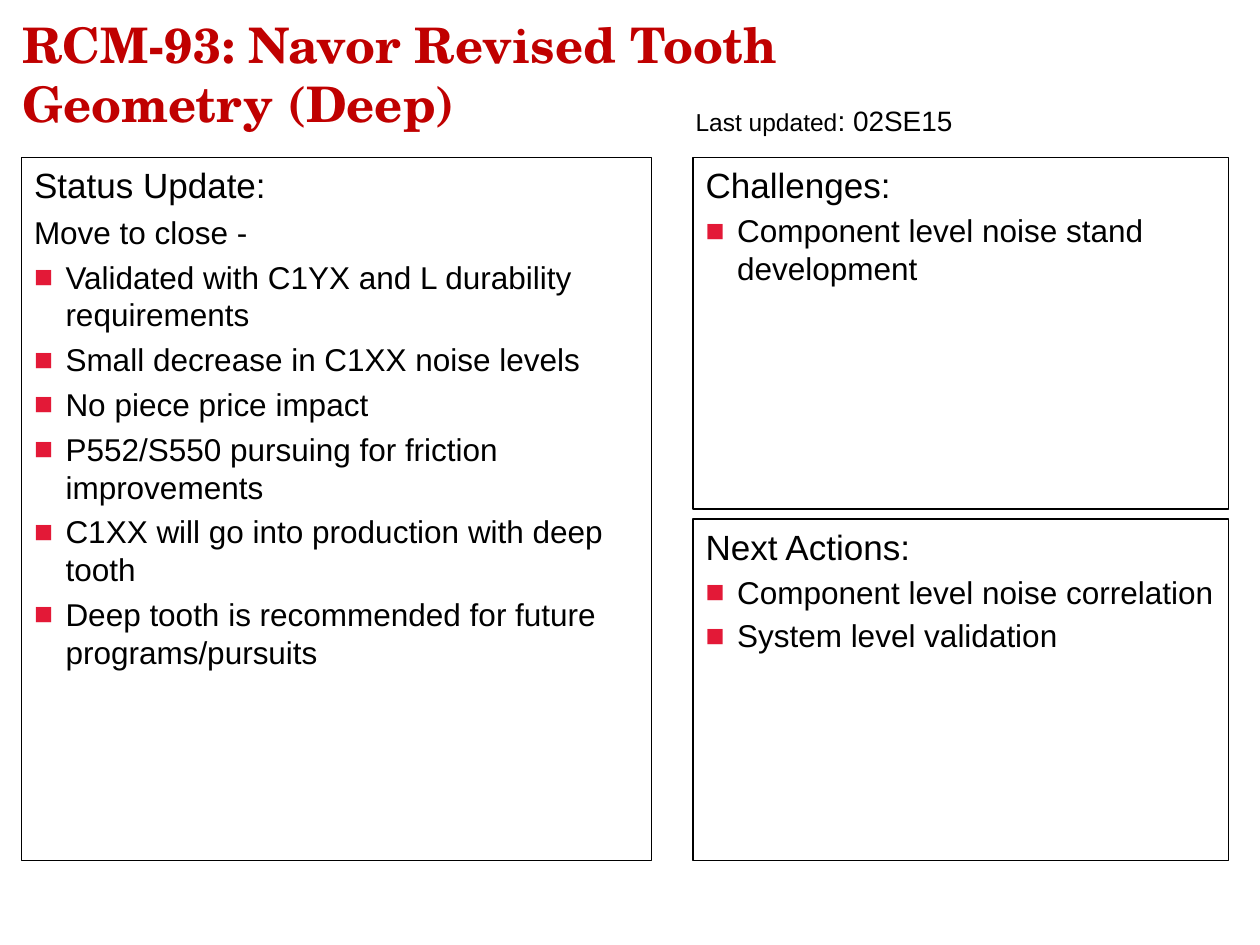
import pptx
import pptx.dml.color
import pptx.enum.text
import pptx.util
import lxml.etree
from pptx.oxml.ns import qn

Inches = pptx.util.Inches
Pt = pptx.util.Pt
BLACK = pptx.dml.color.RGBColor(0x00, 0x00, 0x00)
TITLE_RED = pptx.dml.color.RGBColor(0xC0, 0x00, 0x00)
BULLET_RED = pptx.dml.color.RGBColor(0xE3, 0x19, 0x37)

LEFT_COLUMN, RIGHT_COLUMN = 0.17, 5.5
LEFT_WIDTH, RIGHT_WIDTH = 5, 4.25
PANEL_TOP, PANEL_BOTTOM = 1.25, 6.83
ACTIONS_TOP, PANEL_GAP = 4.12, 0.08


def add_text(paragraph, text, size=18, font="Arial", color=BLACK, bold=False):
    run = paragraph.add_run()
    run.text = text
    run.font.size = Pt(size)
    run.font.name = font
    run.font.color.rgb = color
    run.font.bold = bold


class StatusSlide:
    heading_size = 20
    body_size = 18
    bullet_indent = 0.25
    border_width = 0.75

    def __init__(self, presentation):
        layout = presentation.slide_layouts.get_by_name("Comparison")
        self.slide = presentation.slides.add_slide(layout)

    def place(self, index, left, top, width, height,
              anchor=pptx.enum.text.MSO_ANCHOR.TOP):
        shape = self.slide.placeholders[index]
        shape.left, shape.top = Inches(left), Inches(top)
        shape.width, shape.height = Inches(width), Inches(height)
        frame = shape.text_frame
        frame.word_wrap = True
        frame.auto_size = pptx.enum.text.MSO_AUTO_SIZE.NONE
        frame.vertical_anchor = anchor
        frame.margin_left = frame.margin_right = Inches(0.1)
        frame.margin_top = frame.margin_bottom = Inches(0.05)
        return shape

    def format_paragraph(self, paragraph, space_before=0, bullet=False):
        paragraph.alignment = pptx.enum.text.PP_ALIGN.LEFT
        paragraph.space_before = Pt(space_before)
        properties = paragraph._p.get_or_add_pPr()
        indent = Inches(self.bullet_indent) if bullet else 0
        properties.set("marL", str(indent))
        properties.set("indent", str(-indent))
        if not bullet:
            lxml.etree.SubElement(properties, qn("a:buNone"))
            return
        color = lxml.etree.SubElement(properties, qn("a:buClr"))
        lxml.etree.SubElement(color, qn("a:srgbClr"), val=str(BULLET_RED))
        lxml.etree.SubElement(properties, qn("a:buFont"), typeface="Arial")
        lxml.etree.SubElement(properties, qn("a:buChar"), char="■")

    def title(self, text, *box):
        shape = self.place(0, *box, anchor=pptx.enum.text.MSO_ANCHOR.MIDDLE)
        paragraph = shape.text_frame.paragraphs[0]
        self.format_paragraph(paragraph)
        add_text(paragraph, text, size=28, font="TeX Gyre Schola",
                 color=TITLE_RED, bold=True)

    def date(self, label, value, *box):
        paragraph = self.place(3, *box).text_frame.paragraphs[0]
        self.format_paragraph(paragraph)
        add_text(paragraph, label, size=14)
        add_text(paragraph, value, size=16)

    def panel(self, index, box, heading, bullets, space_before, lead=None):
        shape = self.place(index, *box)
        shape.line.color.rgb = BLACK
        shape.line.width = Pt(self.border_width)
        frame = shape.text_frame
        self.format_paragraph(frame.paragraphs[0])
        add_text(frame.paragraphs[0], heading, size=self.heading_size)
        if lead:
            paragraph = frame.add_paragraph()
            self.format_paragraph(paragraph, space_before)
            add_text(paragraph, lead, size=self.body_size)
        for bullet in bullets:
            paragraph = frame.add_paragraph()
            self.format_paragraph(paragraph, space_before, bullet=True)
            add_text(paragraph, bullet, size=self.body_size)


presentation = pptx.Presentation()
presentation.slide_width = Inches(10)
presentation.slide_height = Inches(7.5)

status = StatusSlide(presentation)
status.title("RCM-93: Navor Revised Tooth Geometry (Deep)", 0.08, 0.08, 6.67, 1)
status.date("Last updated", ": 02SE15", 5.42, 0.77, 4, 0.4)
status.panel(
    1,
    (LEFT_COLUMN, PANEL_TOP, LEFT_WIDTH, PANEL_BOTTOM - PANEL_TOP),
    "Status Update:",
    [
        "Validated with C1YX and L durability requirements",
        "Small decrease in C1XX noise levels",
        "No piece price impact",
        "P552/S550 pursuing for friction improvements",
        "C1XX will go into production with deep tooth",
        "Deep tooth is recommended for future programs/pursuits",
    ],
    space_before=4,
    lead="Move to close -",
)
status.panel(
    2,
    (RIGHT_COLUMN, PANEL_TOP, RIGHT_WIDTH, ACTIONS_TOP - PANEL_GAP - PANEL_TOP),
    "Challenges:",
    ["Component level noise stand development"],
    space_before=3.2,
)
status.panel(
    4,
    (RIGHT_COLUMN, ACTIONS_TOP, RIGHT_WIDTH, PANEL_BOTTOM - ACTIONS_TOP),
    "Next Actions:",
    ["Component level noise correlation", "System level validation"],
    space_before=3.2,
)

presentation.save("out.pptx")
